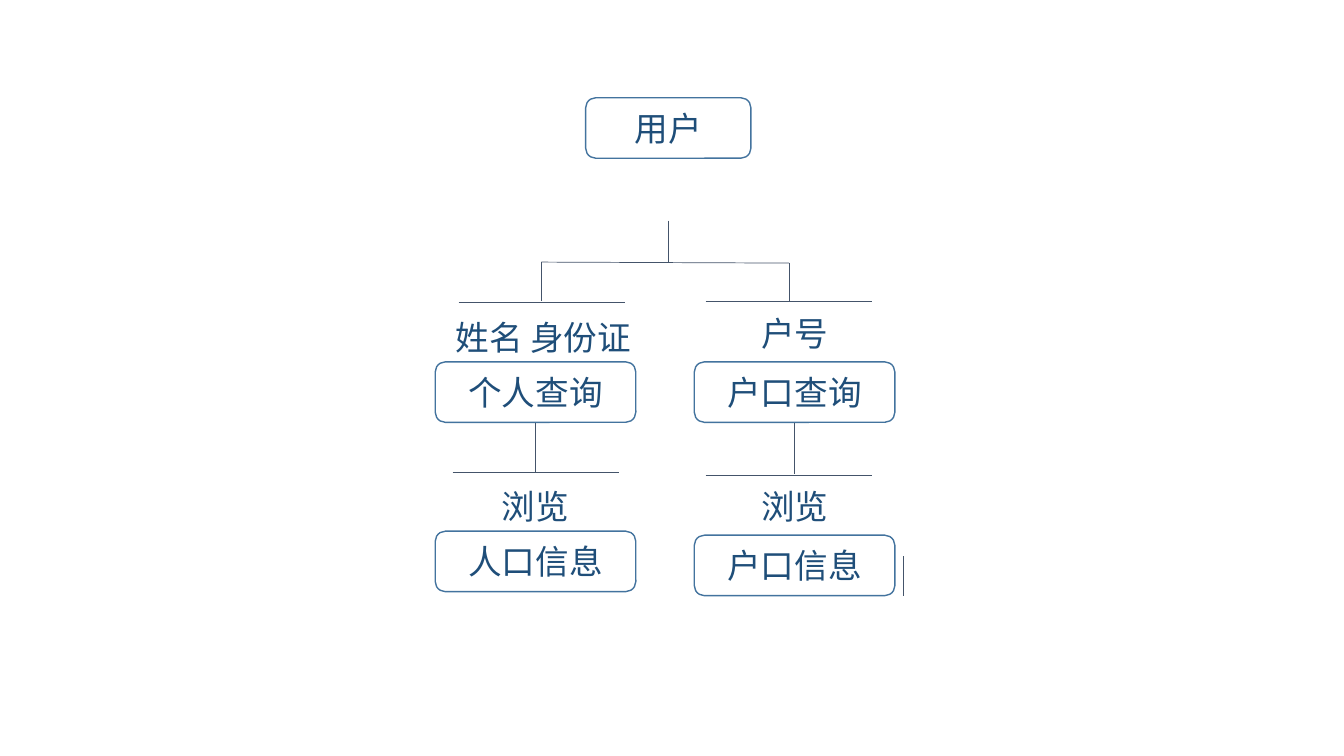
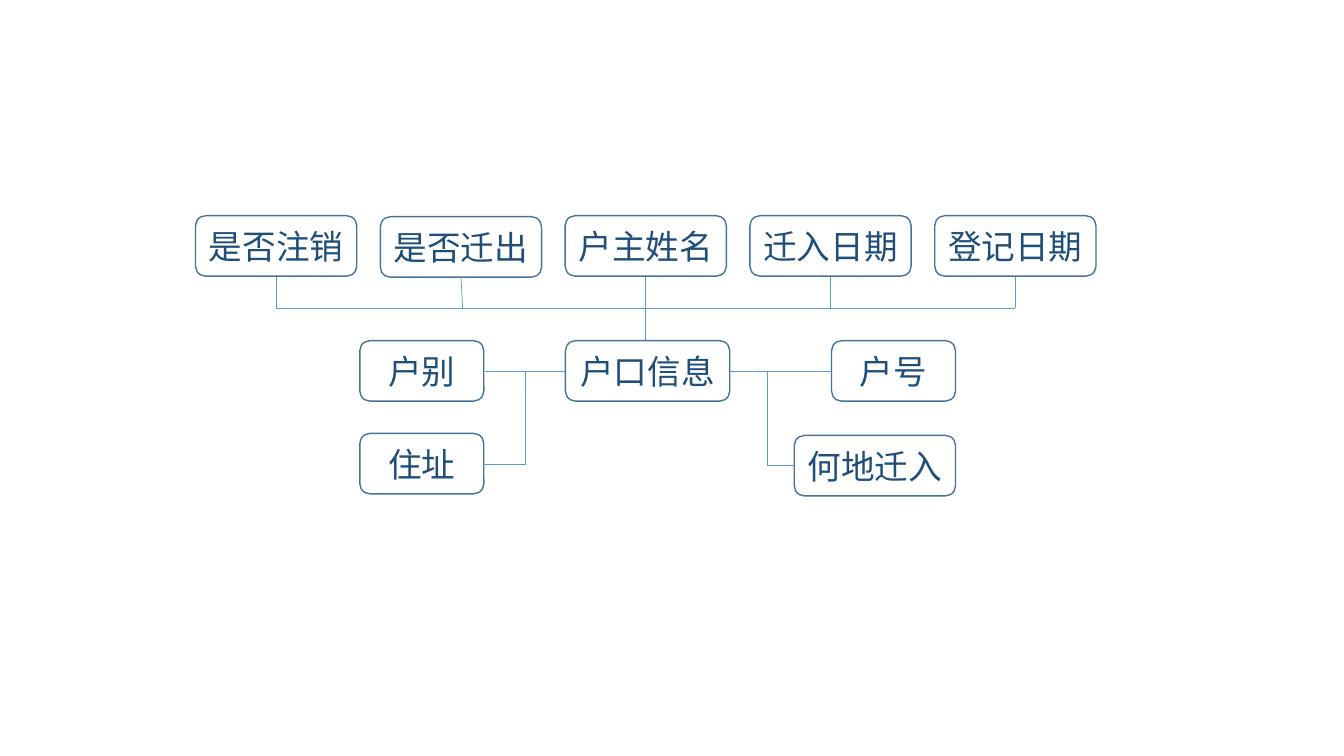
from pptx import Presentation as Deck
from pptx.dml.color import RGBColor as RGB
from pptx.enum.shapes import MSO_CONNECTOR as LINK, MSO_SHAPE as FORM
from pptx.enum.text import MSO_ANCHOR as ANCHOR, PP_ALIGN as ALIGN
from pptx.oxml.ns import qn
from pptx.util import Inches, Pt
from lxml.etree import SubElement as sub

HUES = {"text": "1F4E79", "edge": "43739E", "slate": "44546A", "sky": "5B9BD5"}
FACE = "Noto Sans CJK SC"
FONT = {"name": FACE, "size": Pt(24)}
FRAME = {"word_wrap": True}
WIDE, HIGH = Inches(13.333), Inches(7.5)
COLS, ROWS = 80, 45
TALL = 3.6  # rows in a box


def col(num):
    """Turn grid columns into a length."""
    return round(WIDE * num / COLS)


def row(num):
    """Turn grid rows into a length."""
    return round(HIGH * num / ROWS)


def put(item, vals):
    """Set attributes from a dict."""
    for key, val in vals.items():
        setattr(item, key, val)


def hue(name):
    """Look up a colour by name."""
    return RGB.from_string(HUES[name])


def write(shape, text, anchor):
    """Write one centred line of text in a shape."""
    frame = shape.text_frame
    put(frame, {**FRAME, "vertical_anchor": anchor})
    para = frame.paragraphs[0]
    para.alignment = ALIGN.CENTER
    run = para.add_run()
    run.text = text
    put(run.font, FONT)
    run.font.color.rgb = hue("text")
    sub(run.font._element, qn("a:ea")).set("typeface", FACE)


def box(slide, text, mid, top, wide):
    """Draw a rounded box centred on a column."""
    shape = slide.shapes.add_shape(
        FORM.ROUNDED_RECTANGLE, col(mid - wide / 2), row(top), col(wide), row(TALL))
    shape.shadow.inherit = False
    shape.fill.background()
    shape.line.color.rgb = hue("edge")
    shape.line.width = Pt(1)
    write(shape, text, ANCHOR.MIDDLE)


def label(slide, text, mid, top, wide=12.84, tall=5.46):
    """Place open text centred on a column."""
    area = slide.shapes.add_textbox(
        col(mid - wide / 2), row(top), col(wide), row(tall))
    write(area, text, ANCHOR.TOP)


def rule(slide, tint, x, y, to_x, to_y):
    """Draw a thin straight line."""
    line = slide.shapes.add_connector(
        LINK.STRAIGHT, col(x), row(y), col(to_x), row(to_y))
    line.line.color.rgb = hue(tint)
    line.line.width = Pt(0.5)
    sub(line._element.spPr, qn("a:effectLst"))


def query(slide):
    """Build the tree of user queries."""
    left, right, root = 31.88, 47.3, 39.78
    box(slide, "用户", root, 5.82, 9.84)
    for text, mid, top in (
        ("个人查询", left, 21.54), ("户口查询", right, 21.54),
        ("人口信息", left, 31.62), ("户口信息", right, 31.86),
    ):
        box(slide, text, mid, top, 11.94)
    label(slide, "姓名 身份证", 32.34, 18.54)
    label(slide, "户号", right, 18.36, 10.56, 3)
    for mid in (left, right):
        label(slide, "浏览", mid, 28.62)
    for ends in (
        (root, 13.14, root, 15.66),
        (32.22, 15.6, 46.98, 15.66),
        (32.22, 15.6, 32.22, 17.94),
        (46.98, 15.66, 46.98, 18),
        (left, 25.2, left, 28.14),
        (right, 25.2, right, 28.2),
        (53.76, 33.12, 53.76, 35.46),
    ):
        rule(slide, "slate", *ends)
    for start, y in ((27.3, 18), (42, 17.94), (26.94, 28.14), (42, 28.32)):
        rule(slide, "slate", start, y, start + 9.93, y)


def house(slide):
    """Build the household record and its fields."""
    first, step, bus, mid = 16.44, 11, 18.36, 22.08
    names = ("是否注销", "是否迁出", "户主姓名", "迁入日期", "登记日期")
    for num, text in enumerate(names):
        x = first + num * step
        box(slide, text, x, 12.9 if num == 1 else 12.84, 9.6)
        rule(slide, "sky", x, 16.5, x + 0.1 * (num == 1), 20.28 if num == 2 else bus)
    rule(slide, "sky", first, bus, first + 4 * step, bus)
    for text, x, top, wide in (
        ("户口信息", 38.55, 20.28, 9.78),
        ("户别", 25.11, 20.28, 7.38),
        ("户号", 53.19, 20.28, 7.38),
        ("住址", 25.11, 25.8, 7.38),
        ("何地迁入", 52.08, 25.92, 9.6),
    ):
        box(slide, text, x, top, wide)
    for near, far, leg, foot, base in (
        (33.66, 28.86, 31.26, 28.74, 27.66),
        (43.44, 49.44, 45.66, 47.28, 27.72),
    ):
        rule(slide, "sky", near, mid, far, mid)
        rule(slide, "sky", leg, mid, leg, base)
        rule(slide, "sky", leg, base, foot, base)


def main():
    """Build and save the deck."""
    deck = Deck()
    put(deck, {"slide_width": WIDE, "slide_height": HIGH})
    for build in (query, house):
        build(deck.slides.add_slide(deck.slide_layouts[6]))
    deck.save("out.pptx")


main()
